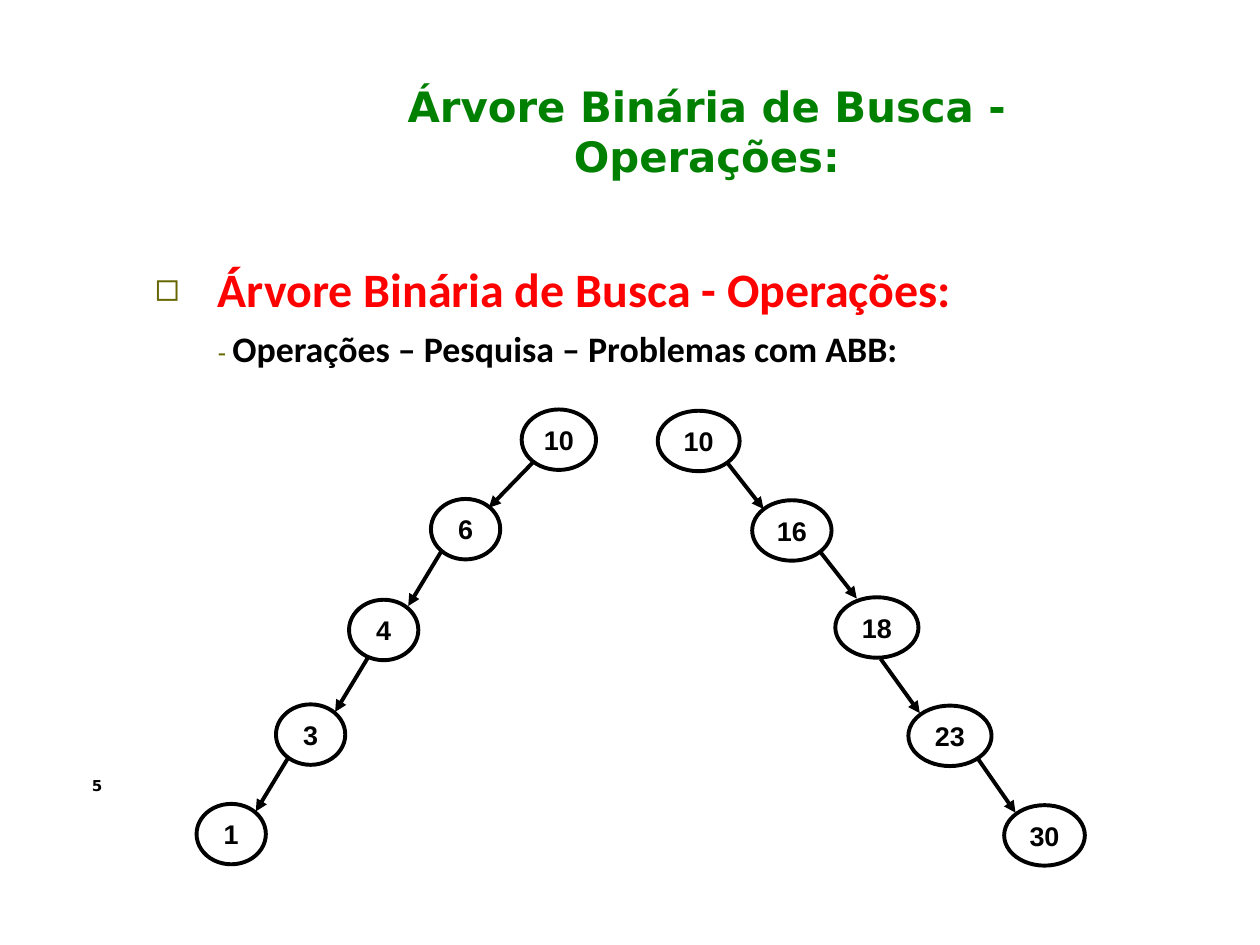
"""Build a slide showing two degenerate binary search trees."""
from lxml.etree import SubElement
from pptx import Presentation
from pptx.dml.color import RGBColor
from pptx.enum.shapes import MSO_CONNECTOR, MSO_SHAPE
from pptx.enum.text import MSO_ANCHOR, PP_ALIGN
from pptx.oxml.ns import qn
from pptx.util import Inches, Pt

BLACK = RGBColor(0, 0, 0)
GREEN = RGBColor(0, 0x80, 0)
RED = RGBColor(0xFF, 0, 0)
OLIVE = RGBColor(0x66, 0x66, 0)

TITLE = "Árvore Binária de Busca - Operações:"
TOPIC = "Operações – Pesquisa – Problemas com ABB:"
PAGE = "5"

NODE_H = 0.48
NODES = [
    ("10", 4.14, 3.25, 0.59), ("6", 3.42, 3.96, 0.55),
    ("4", 2.77, 4.76, 0.55), ("3", 2.19, 5.59, 0.55),
    ("1", 1.56, 6.38, 0.55),
    ("10", 5.22, 3.26, 0.65), ("16", 5.97, 3.97, 0.63),
    ("18", 6.63, 4.74, 0.66), ("23", 7.21, 5.6, 0.66),
    ("30", 7.97, 6.39, 0.64),
]
LINKS = [
    (4.23, 3.67, 3.88, 4.03), (3.5, 4.38, 3.24, 4.81),
    (2.92, 5.22, 2.66, 5.65), (2.29, 6.01, 2.03, 6.44),
    (5.77, 3.67, 6.06, 4.04), (6.51, 4.38, 6.8, 4.75),
    (6.99, 5.23, 7.3, 5.66), (7.76, 6.02, 8.06, 6.45),
]


def add_run(para, text, size, font, color, bold=True):
    run = para.add_run()
    run.text = text
    run.font.size = Pt(size)
    run.font.name = font
    run.font.bold = bold
    run.font.color.rgb = color


def set_frame(shape, wrap=True):
    frame = shape.text_frame
    frame.word_wrap = wrap
    frame.margin_left = frame.margin_right = 0
    frame.margin_top = frame.margin_bottom = 0
    return frame


def add_box(slide, *area):
    return set_frame(slide.shapes.add_textbox(*map(Inches, area)))


def indent(para, left, first):
    props = para._p.get_or_add_pPr()
    props.set("marL", str(Inches(left)))
    props.set("indent", str(Inches(first)))
    return props


def add_bullet(props, char, color):
    tint = SubElement(props, qn("a:buClr"))
    SubElement(tint, qn("a:srgbClr"), val=str(color))
    SubElement(props, qn("a:buSzPct"), val="84000")
    SubElement(props, qn("a:buFont"), typeface="Arial")
    SubElement(props, qn("a:buChar"), char=char)


def add_node(slide, text, left, top, width):
    area = map(Inches, (left, top, width, NODE_H))
    node = slide.shapes.add_shape(MSO_SHAPE.OVAL, *area)
    node.shadow.inherit = False
    node.fill.background()
    node.line.color.rgb = BLACK
    node.line.width = Pt(2.25)
    frame = set_frame(node, False)
    frame.vertical_anchor = MSO_ANCHOR.MIDDLE
    para = frame.paragraphs[0]
    para.alignment = PP_ALIGN.CENTER
    add_run(para, text, 15.4, "Arial", BLACK)


def add_link(slide, *ends):
    link = slide.shapes.add_connector(MSO_CONNECTOR.STRAIGHT, *map(Inches, ends))
    link.line.color.rgb = BLACK
    link.line.width = Pt(2.25)
    SubElement(link.line._get_or_add_ln(), qn("a:tailEnd"), type="triangle")
    SubElement(link._element.spPr, qn("a:effectLst"))


def main():
    deck = Presentation()
    deck.slide_width, deck.slide_height = Inches(10), Inches(7.5)
    slide = deck.slides.add_slide(deck.slide_layouts[6])

    para = add_box(slide, 3.1, 0.65, 5.02, 0.79).paragraphs[0]
    para.alignment = PP_ALIGN.CENTER
    para.line_spacing = Pt(28.2)
    add_run(para, TITLE, 23.9, "DejaVu Sans", GREEN)

    body = add_box(slide, 1.22, 2.06, 7.79, 0.88)
    para = body.paragraphs[0]
    add_bullet(indent(para, 0.51, -0.5), "◻", OLIVE)
    add_run(para, TITLE, 27.4, "Calibri", RED)
    para = body.add_paragraph()
    indent(para, 0.51, 0)
    para.space_before = Pt(5.4)
    add_run(para, "- ", 15.4, "Calibri", OLIVE, False)
    add_run(para, TOPIC, 20.5, "Calibri", BLACK)

    for node in NODES:
        add_node(slide, *node)
    for link in LINKS:
        add_link(slide, *link)

    para = add_box(slide, 0.73, 6.17, 0.19, 0.42).paragraphs[0]
    para.line_spacing = Pt(9.6)
    add_run(para, PAGE, 8.6, "DejaVu Sans", BLACK)

    deck.save("out.pptx")


if __name__ == "__main__":
    main()
